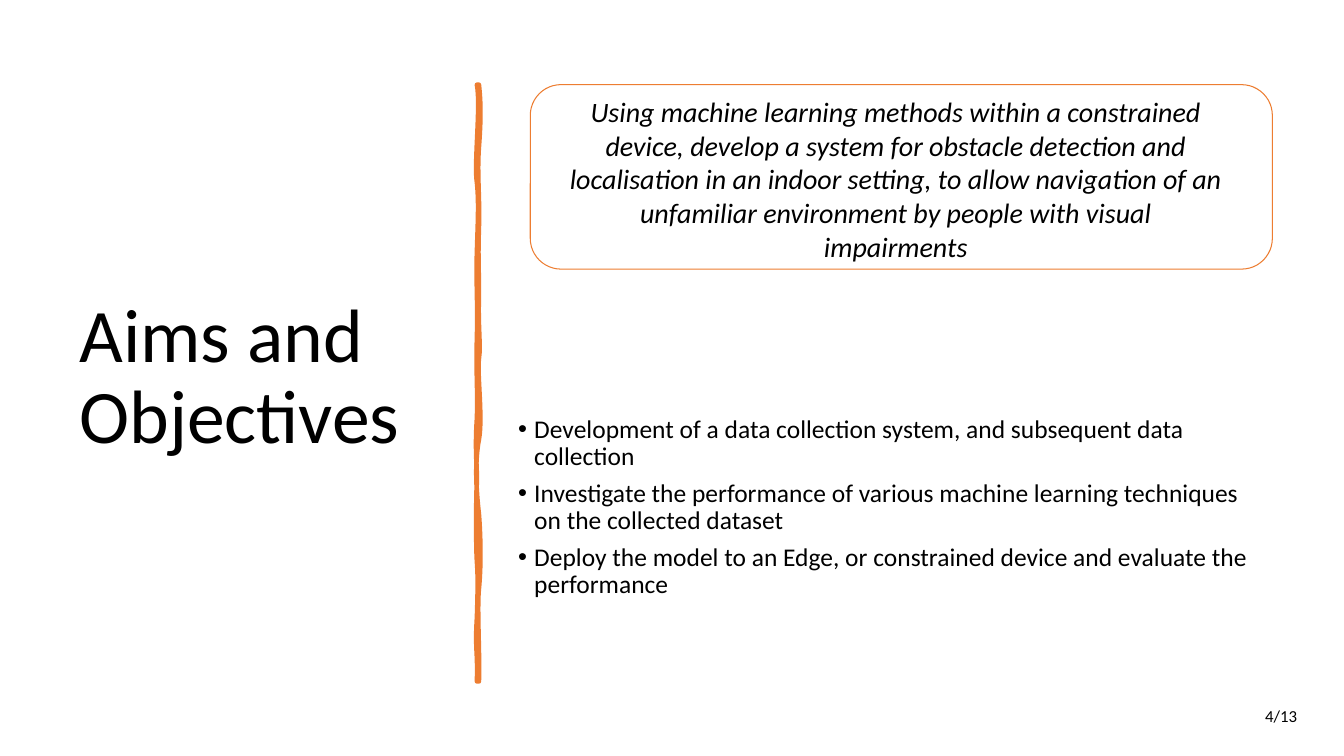
from dataclasses import dataclass

import lxml.etree
import pptx
import pptx.dml.color
import pptx.enum.shapes
import pptx.enum.text
import pptx.oxml
import pptx.oxml.ns
import pptx.util
from pptx.util import Inches

ORANGE = "ED7D31"
BLACK = "000000"
ALIGN = pptx.enum.text.PP_ALIGN
ANCHOR = pptx.enum.text.MSO_ANCHOR
SHAPE = pptx.enum.shapes.MSO_SHAPE


@dataclass
class TextBlock:
    left: float
    top: float
    width: float
    height: float
    paragraphs: list[str]
    size: float
    align: ALIGN = ALIGN.LEFT
    anchor: ANCHOR = ANCHOR.TOP
    line_spacing: float = 1.0
    space_before: float = 0
    margin_top: float = 0.05
    italic: bool = False
    bullet: bool = False
    wrap: bool = True


BLOCKS = [
    TextBlock(0.69, 0.7, 3.74, 6.11, ["Aims and Objectives"], 54,
              anchor=ANCHOR.MIDDLE, line_spacing=0.9),
    TextBlock(5.04, 3.68, 7.55, 3.12, [
        "Development of a data collection system, and subsequent data collection",
        "Investigate the performance of various machine learning techniques on the collected dataset",
        "Deploy the model to an Edge, or constrained device and evaluate the performance",
    ], 18.2, line_spacing=0.9, space_before=6.5, margin_top=0.45, bullet=True),
    TextBlock(5.55, 0.89, 6.67, 1.78, [
        "Using machine learning methods within a constrained device, develop a system for "
        "obstacle detection and localisation in an indoor setting, to allow navigation of an "
        "unfamiliar environment by people with visual impairments",
    ], 20, align=ALIGN.CENTER, space_before=6.5, italic=True),
    TextBlock(12.45, 6.95, 0.52, 0.3, ["4/13"], 12, wrap=False),
]

BRUSH_LEFT, BRUSH_RIGHT, BRUSH_TOP = 473, 475, 84
STROKE_CURVES = [
    (477, 102, 477, 119, 475, 146), (473, 173, 476, 195, 475, 226),
    (474, 257, 475, 262, 475, 294), (474, 325, 477, 342, 475, 356),
    (473, 370, 479, 414, 475, 436), (471, 457, 472, 484, 475, 510),
    (477, 536, 477, 564, 475, 584), (473, 603, 476, 650, 475, 676),
    (474, 676, 473, 676, 473, 676), (474, 646, 471, 644, 473, 613),
    (474, 583, 474, 570, 473, 557), (472, 544, 472, 495, 473, 477),
    (473, 459, 471, 445, 473, 415), (474, 386, 472, 373, 473, 335),
    (474, 298, 472, 281, 473, 250), (474, 218, 475, 200, 473, 181),
    (470, 163, 477, 104, 473, 84), (474, 84, 474, 84, 475, 84),
]
FILL_CURVES = [
    (475, 115, 472, 125, 475, 152), (477, 179, 474, 197, 475, 208),
    (476, 220, 474, 255, 475, 294), (476, 333, 473, 343, 475, 362),
    (477, 381, 477, 397, 475, 430), (472, 463, 475, 474, 475, 516),
    (475, 557, 474, 553, 475, 578), (476, 603, 474, 647, 475, 676),
    (474, 675, 473, 675, 473, 676), (470, 649, 474, 632, 473, 613),
    (472, 595, 475, 569, 473, 539), (471, 510, 476, 500, 473, 471),
    (470, 442, 477, 420, 473, 386), (469, 351, 474, 325, 473, 300),
    (471, 275, 471, 259, 473, 238), (474, 216, 474, 185, 473, 164),
    (471, 143, 475, 121, 473, 84), (474, 84, 474, 84, 475, 84),
]


def rgb(value: str) -> pptx.dml.color.RGBColor:
    return pptx.dml.color.RGBColor.from_string(value)


def add_text(s: pptx.slide.Slide, block: TextBlock) -> None:
    sp = s.shapes.add_textbox(*map(Inches, (block.left, block.top, block.width, block.height)))
    tf = sp.text_frame
    tf.word_wrap = block.wrap
    tf.vertical_anchor = block.anchor
    tf.margin_top = Inches(block.margin_top)
    for i, text in enumerate(block.paragraphs):
        p = tf.paragraphs[0] if i == 0 else tf.add_paragraph()
        p.alignment = block.align
        p.line_spacing = block.line_spacing
        p.space_before = pptx.util.Pt(block.space_before)
        if block.bullet:
            pPr = p._p.get_or_add_pPr()
            pPr.set("marL", str(Inches(0.16)))
            pPr.set("indent", str(-Inches(0.16)))
            for tag, name, value in (("a:buFont", "typeface", "Arial"), ("a:buChar", "char", "•")):
                bu = pptx.oxml.parse_xml(f"<{tag} {pptx.oxml.ns.nsdecls('a')} {name}=\"{value}\"/>")
                pPr.append(bu)
        r = p.add_run()
        r.text = text
        r.font.name = "Calibri"
        r.font.size = pptx.util.Pt(block.size)
        r.font.italic = block.italic
        r.font.color.rgb = rgb(BLACK)


def add_curve_path(paths: lxml.etree._Element, size: dict, curves: list[tuple], **flags: str) -> None:
    qn = pptx.oxml.ns.qn

    def add_points(parent: lxml.etree._Element, tag: str, coords: tuple) -> None:
        el = lxml.etree.SubElement(parent, qn(tag))
        for x, y in zip(coords[::2], coords[1::2]):
            lxml.etree.SubElement(el, qn("a:pt"), x=str(x - BRUSH_LEFT), y=str(y - BRUSH_TOP))

    path = lxml.etree.SubElement(paths, qn("a:path"), **size, **flags)
    add_points(path, "a:moveTo", (BRUSH_RIGHT, BRUSH_TOP))
    for curve in curves:
        add_points(path, "a:cubicBezTo", curve)
    lxml.etree.SubElement(path, qn("a:close"))


def add_brush_line(s: pptx.slide.Slide) -> None:
    fb = s.shapes.build_freeform(BRUSH_RIGHT, BRUSH_TOP, scale=Inches(0.01))
    fb.add_line_segments([curve[-2:] for curve in STROKE_CURVES], close=True)
    sp = fb.convert_to_shape()
    paths = sp._element.find(".//" + pptx.oxml.ns.qn("a:pathLst"))
    size = {name: paths[0].get(name) for name in ("w", "h")}
    paths.remove(paths[0])
    add_curve_path(paths, size, STROKE_CURVES, fill="none")
    add_curve_path(paths, size, FILL_CURVES, stroke="0")
    sp.shadow.inherit = False
    sp.fill.solid()
    sp.fill.fore_color.rgb = rgb(ORANGE)
    sp.line.color.rgb = rgb(ORANGE)
    sp.line.width = pptx.util.Pt(3.25)
    sp.line._ln.append(pptx.oxml.parse_xml(f"<a:round {pptx.oxml.ns.nsdecls('a')}/>"))


def add_aim_frame(s: pptx.slide.Slide) -> None:
    sp = s.shapes.add_shape(SHAPE.ROUNDED_RECTANGLE, *map(Inches, (5.26, 0.84, 7.36, 1.83)))
    sp.shadow.inherit = False
    sp.fill.background()
    sp.line.color.rgb = rgb(ORANGE)
    sp.line.width = pptx.util.Pt(0.75)


def main() -> None:
    prs = pptx.Presentation()
    prs.slide_width, prs.slide_height = Inches(13.33), Inches(7.5)
    s = prs.slides.add_slide(prs.slide_layouts[6])
    add_brush_line(s)
    add_aim_frame(s)
    for block in BLOCKS:
        add_text(s, block)
    prs.save("out.pptx")


if __name__ == "__main__":
    main()
